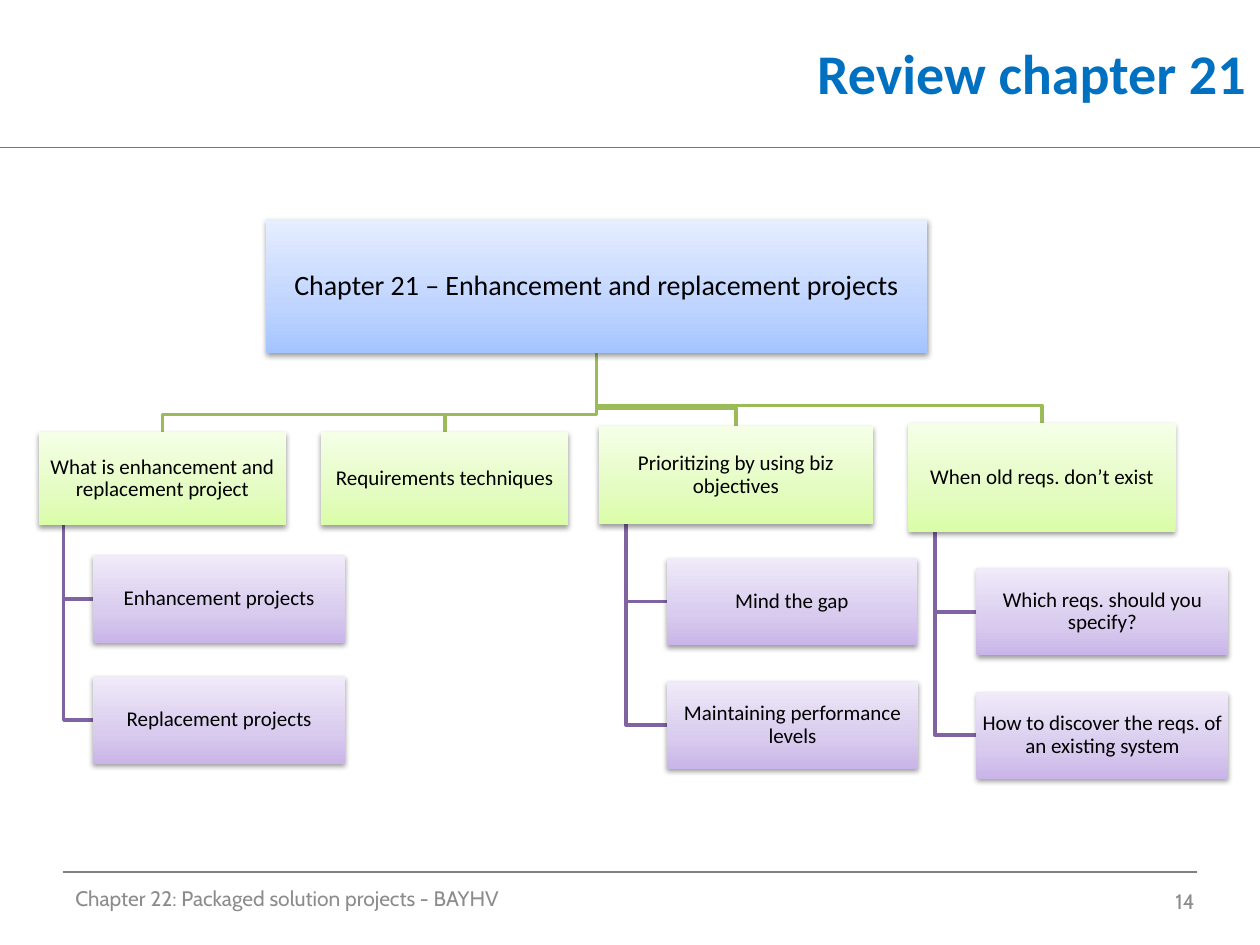
import copy

import lxml.etree
import pptx
import pptx.dml.color
import pptx.enum.shapes
import pptx.enum.text
import pptx.oxml.ns
import pptx.util

Inches = pptx.util.Inches
Pt = pptx.util.Pt
RGBColor = pptx.dml.color.RGBColor
Align = pptx.enum.text.PP_ALIGN
Anchor = pptx.enum.text.MSO_ANCHOR
qn = pptx.oxml.ns.qn

BLACK = RGBColor(0x00, 0x00, 0x00)
TITLE = RGBColor(0x00, 0x70, 0xC0)
RULE = RGBColor(0x4B, 0x7E, 0xBC)
GREY = RGBColor(0x80, 0x80, 0x80)
FOOT = RGBColor(0x8C, 0x8C, 0x8C)
GREEN = RGBColor(0x9B, 0xBB, 0x59)
PURPLE = RGBColor(0x80, 0x64, 0xA2)
BLUES = (RGBColor(0xA4, 0xC4, 0xFF), RGBColor(0xBF, 0xD4, 0xFF), RGBColor(0xE6, 0xEE, 0xFF))
LIMES = (RGBColor(0xDA, 0xFD, 0xA7), RGBColor(0xE4, 0xFC, 0xC2), RGBColor(0xF5, 0xFF, 0xE7))
LILACS = (RGBColor(0xC9, 0xB5, 0xE8), RGBColor(0xD8, 0xCB, 0xEE), RGBColor(0xF0, 0xEA, 0xF9))

ROOT = ("Chapter 21 – Enhancement and replacement projects", 2.11, 1.74, 5.25, 1.06)
TOPICS = [
    (("What is enhancement and replacement project", 0.31, 3.43, 1.96, 0.74),
     [("Enhancement projects", 0.74, 4.41, 2, 0.69),
      ("Replacement projects", 0.74, 5.37, 2, 0.69)]),
    (("Requirements techniques", 2.55, 3.43, 1.96, 0.74), []),
    (("Prioritizing by using biz objectives", 4.75, 3.38, 2.18, 0.78),
     [("Mind the gap", 5.29, 4.43, 1.99, 0.69),
      ("Maintaining performance levels", 5.29, 5.41, 2, 0.69)]),
    (("When old reqs. don’t exist", 7.21, 3.36, 2.12, 0.86),
     [("Which reqs. should you specify?", 7.75, 4.51, 2, 0.69),
      ("How to discover the reqs. of an existing system", 7.75, 5.49, 2, 0.69)]),
]


def add_run(para, text, size, color, face="Calibri", bold=False):
    """Add one formatted run to a paragraph."""
    run = para.add_run()
    run.text = text
    font = run.font
    font.name, font.size, font.bold = face, Pt(size), bold
    font.color.rgb = color


def add_title(slide, text):
    """Place and fill the title placeholder."""
    title = slide.shapes.title
    title.left, title.top = Inches(2.9), Inches(0)
    title.width, title.height = Inches(7.09), Inches(1.15)
    title.text_frame.vertical_anchor = Anchor.MIDDLE
    para = title.text_frame.paragraphs[0]
    para.alignment = Align.RIGHT
    add_run(para, text, 32, TITLE, bold=True)


def add_rule(slide, left, right, y, color):
    """Draw a thin level line."""
    rule = slide.shapes.add_connector(
        pptx.enum.shapes.MSO_CONNECTOR.STRAIGHT,
        Inches(left), Inches(y), Inches(right), Inches(y))
    rule.line.color.rgb = color
    rule.line.width = Pt(0.75)
    lxml.etree.SubElement(rule._element.spPr, qn("a:effectLst"))


def add_note(slide, text, left, top, width, align):
    """Add a line of footer text."""
    frame = slide.shapes.add_textbox(
        Inches(left), Inches(top), Inches(width), Inches(0.4)).text_frame
    frame.word_wrap = True
    frame.vertical_anchor = Anchor.MIDDLE
    para = frame.paragraphs[0]
    para.alignment = align
    add_run(para, text, 12, FOOT, "Cabin")


def add_link(slide, points, color):
    """Draw an open bent line through the points."""
    start, *rest = [(Inches(x), Inches(y)) for x, y in points]
    build = slide.shapes.build_freeform(*start)
    build.add_line_segments(rest, close=False)
    link = build.convert_to_shape()
    link.shadow.inherit = False
    link.fill.background()
    link.line.color.rgb = color
    link.line.width = Pt(2)


def add_shade(shape):
    """Give a shape a soft shadow below it."""
    shape.shadow.inherit = False
    effects = shape._element.spPr.find(qn("a:effectLst"))
    shade = lxml.etree.SubElement(
        effects, qn("a:outerShdw"), blurRad=str(Pt(3.1)), dist=str(Pt(1.6)),
        dir="5400000", rotWithShape="0")
    color = lxml.etree.SubElement(shade, qn("a:srgbClr"), val="000000")
    lxml.etree.SubElement(color, qn("a:alpha"), val="38000")


def add_box(slide, node, tones, size=12):
    """Draw a shaded box with centred text."""
    text, *place = node
    box = slide.shapes.add_shape(
        pptx.enum.shapes.MSO_SHAPE.RECTANGLE, *map(Inches, place))
    box.fill.gradient()
    box.fill.gradient_angle = 90
    stops = box._element.spPr.find(qn("a:gradFill")).find(qn("a:gsLst"))
    stops.append(copy.deepcopy(stops[0]))
    for stop, spot, tone in zip(box.fill.gradient_stops, (0, 0.35, 1), tones):
        stop.position = spot
        stop.color.rgb = tone
    box.line.fill.background()
    add_shade(box)
    frame = box.text_frame
    frame.word_wrap = True
    frame.vertical_anchor = Anchor.MIDDLE
    frame.margin_left = frame.margin_right = Inches(0.01)
    frame.margin_top = frame.margin_bottom = Inches(0.01)
    para = frame.paragraphs[0]
    para.alignment = Align.CENTER
    para.line_spacing = 0.9
    add_run(para, text, size, BLACK)


def add_tree(slide):
    """Draw the links and then the boxes of the chart."""
    _, left, top, width, height = ROOT
    stem, base = left + width / 2, top + height
    for (_, x, y, w, h), leaves in reversed(TOPICS):
        trunk, mid, bend = x + w / 10, x + w / 2, y - 0.14
        for _, edge, head, _, tall in reversed(leaves):
            row = head + tall / 2
            add_link(slide, [(trunk, y + h), (trunk, row), (edge, row)], PURPLE)
        add_link(slide, [(stem, base), (stem, bend), (mid, bend), (mid, y)], GREEN)
    add_box(slide, ROOT, BLUES, 16)
    for topic, leaves in TOPICS:
        add_box(slide, topic, LIMES)
        for leaf in leaves:
            add_box(slide, leaf, LILACS)


def main():
    """Build and save the slide."""
    deck = pptx.Presentation()
    deck.slide_width, deck.slide_height = Inches(10), Inches(7.5)
    slide = deck.slides.add_slide(deck.slide_layouts[5])
    add_rule(slide, 0, 10, 1.17, RULE)
    add_rule(slide, 0.5, 9.5, 6.92, GREY)
    add_title(slide, "Review chapter 21")
    add_note(slide, "Chapter 22: Packaged solution projects - BAYHV",
             0.5, 6.93, 6.67, Align.LEFT)
    add_note(slide, "14", 7.25, 6.95, 2.33, Align.RIGHT)
    add_tree(slide)
    deck.save("out.pptx")


if __name__ == "__main__":
    main()
